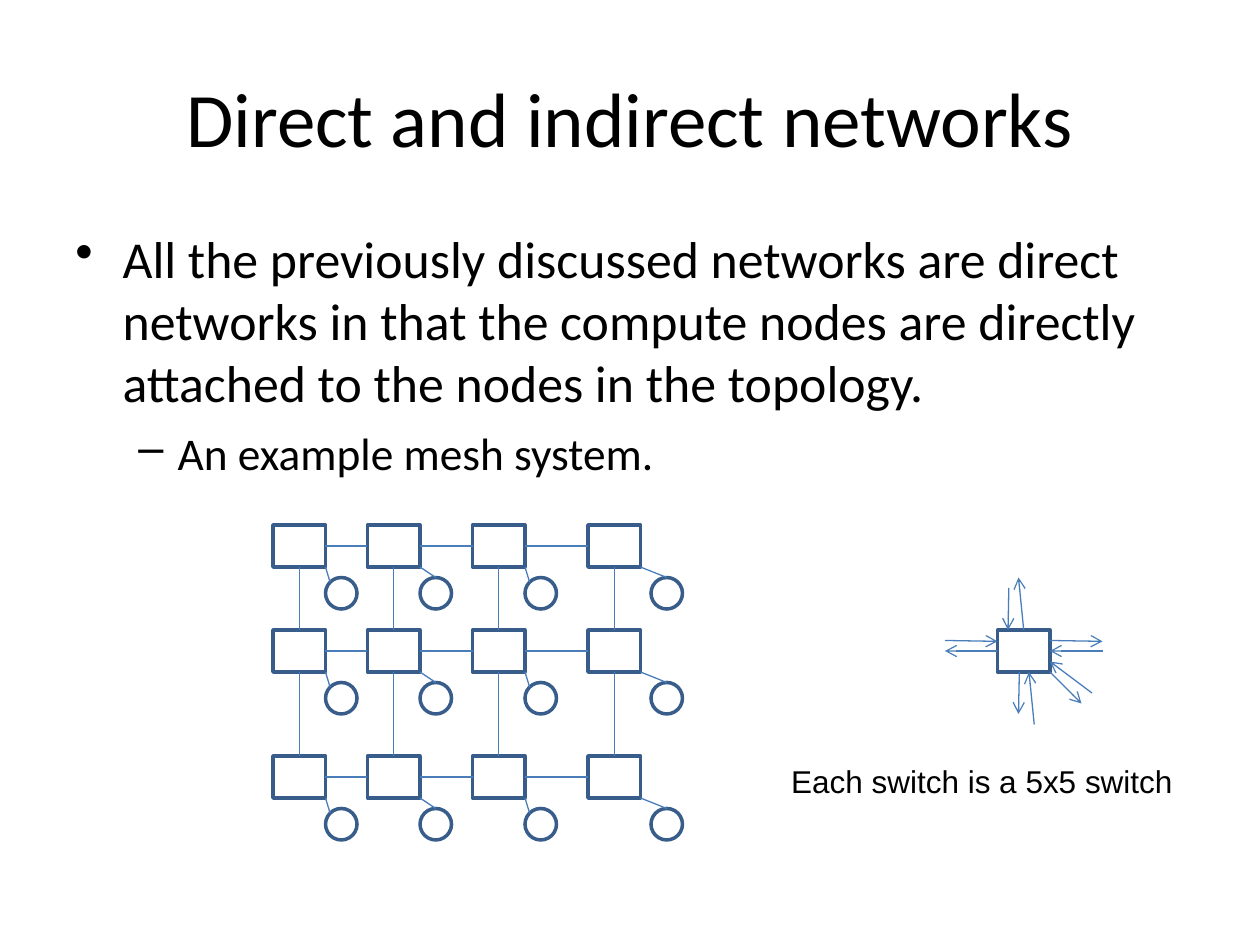
from itertools import pairwise

from lxml.etree import SubElement
from pptx import Presentation
from pptx.dml.color import RGBColor
from pptx.enum.shapes import MSO_CONNECTOR, MSO_SHAPE as SHAPE
from pptx.enum.text import MSO_ANCHOR, MSO_AUTO_SIZE as AUTO, PP_ALIGN
from pptx.oxml.ns import qn
from pptx.util import Pt

BLACK = RGBColor(0x00, 0x00, 0x00)
OUTLINE = RGBColor(0x38, 0x5D, 0x8A)
LINK = RGBColor(0x4A, 0x7E, 0xBB)

TOP, LEFT, BOTTOM, RIGHT = range(4)
SWITCH_W, SWITCH_H, NODE = 30, 24, 18

# Left of the switch, left of its node, and where the link meets the node
COLUMNS = [(156, 186, (2.64, 2.64)), (210, 240, (9, 0)),
           (270, 300, (2.64, 2.64)), (336, 372, (9, 0))]
ROWS = [300, 360, 432]
NODE_DROP = 30

BULLETS = [
    ("All the previously discussed networks are direct networks in that the "
     "compute nodes are directly attached to the nodes in the topology.",
     0, "•", 29.6, 27, 27, 0),
    ("An example mesh system.", 1, "–", 25.9, 58.5, 22.5, 7),
]


class Deck:
    def __init__(self, slide):
        self.slide = slide
        self.shapes = slide.shapes

    def font(self, paragraph, size, name):
        paragraph.font.size = Pt(size)
        paragraph.font.name = name
        paragraph.font.color.rgb = BLACK

    def title(self, text, *box):
        title = self.shapes.title
        title.left, title.top, title.width, title.height = map(Pt, box)
        frame = title.text_frame
        frame.text = text
        frame.vertical_anchor = MSO_ANCHOR.MIDDLE
        frame.paragraphs[0].alignment = PP_ALIGN.CENTER
        self.font(frame.paragraphs[0], 44, "Calibri")

    def bullets(self, items, *box):
        frame = self.shapes.add_textbox(*map(Pt, box)).text_frame
        frame.word_wrap = True
        for i, (text, level, mark, size, margin, hang, before) in enumerate(items):
            paragraph = frame.add_paragraph() if i else frame.paragraphs[0]
            paragraph.text = text
            paragraph.level = level
            paragraph.space_before = Pt(before)
            props = paragraph._p.get_or_add_pPr()
            props.set("marL", str(Pt(margin)))
            props.set("indent", str(-Pt(hang)))
            SubElement(props, qn("a:buChar"), char=mark)
            self.font(paragraph, size, "Calibri")

    def caption(self, text, *box):
        frame = self.shapes.add_textbox(*map(Pt, box)).text_frame
        frame.word_wrap = False
        frame.auto_size = AUTO.SHAPE_TO_FIT_TEXT
        frame.text = text
        self.font(frame.paragraphs[0], 18, "Arial")

    def outline(self, kind, left, top, width, height):
        shape = self.shapes.add_shape(kind, *map(Pt, (left, top, width, height)))
        shape.shadow.inherit = False
        shape.fill.background()
        shape.line.color.rgb = OUTLINE
        shape.line.width = Pt(2)
        return shape

    def switch(self, left, top):
        return self.outline(SHAPE.RECTANGLE, left, top, SWITCH_W, SWITCH_H)

    def node(self, left, top):
        return self.outline(SHAPE.OVAL, left, top, NODE, NODE)

    def link(self, start=(0, 0), end=(0, 0), begin_at=None, end_at=None, arrow=False):
        """Draw between points; a (shape, side) pair joins that end instead."""
        line = self.shapes.add_connector(MSO_CONNECTOR.STRAIGHT, *map(Pt, start + end))
        if begin_at:
            line.begin_connect(*begin_at)
        if end_at:
            line.end_connect(*end_at)
        line.line.color.rgb = LINK
        line.line.width = Pt(0.75)
        props = line._element.spPr
        if arrow:
            SubElement(props.find(qn("a:ln")), qn("a:tailEnd"), type="arrow")
        SubElement(props, qn("a:effectLst"))


def draw_mesh(deck):
    mesh = [[deck.switch(x, y) for x, _, _ in COLUMNS] for y in ROWS]
    for y in ROWS:
        for x, node_x, (dx, dy) in COLUMNS:
            node_y = y + NODE_DROP
            deck.node(node_x, node_y)
            deck.link((x + SWITCH_W, y + SWITCH_H), (node_x + dx, node_y + dy))
    for row in mesh:
        for a, b in pairwise(row):
            deck.link(begin_at=(a, RIGHT), end_at=(b, LEFT))
    for column in zip(*mesh):
        for a, b in pairwise(column):
            deck.link(begin_at=(a, BOTTOM), end_at=(b, TOP))


def draw_switch_ports(deck):
    switch = deck.switch(570, 360)
    deck.link((630, 372), end_at=(switch, RIGHT), arrow=True)
    deck.link(end=(540, 372), begin_at=(switch, LEFT), arrow=True)
    ports = [
        ((600, 366), (630, 366.5)), ((540, 366), (570, 366.5)),
        ((576.5, 336), (576, 360)), ((585, 360), (582, 330)),
        ((582.5, 384), (582, 408)), ((591, 414), (588, 384)),
        ((600, 384), (618, 402)), ((624, 396), (600, 378)),
    ]
    for start, end in ports:
        deck.link(start, end, arrow=True)


def main():
    presentation = Presentation()
    presentation.slide_width, presentation.slide_height = Pt(720), Pt(540)
    title_only = presentation.slide_layouts[5]
    deck = Deck(presentation.slides.add_slide(title_only))
    deck.title("Direct and indirect networks", 36, 21.6, 648, 90)
    deck.bullets(BULLETS, 36, 126, 648, 174)
    draw_mesh(deck)
    draw_switch_ports(deck)
    deck.caption("Each switch is a 5x5 switch", 445, 432, 232.5, 29)
    presentation.save("out.pptx")


if __name__ == "__main__":
    main()
